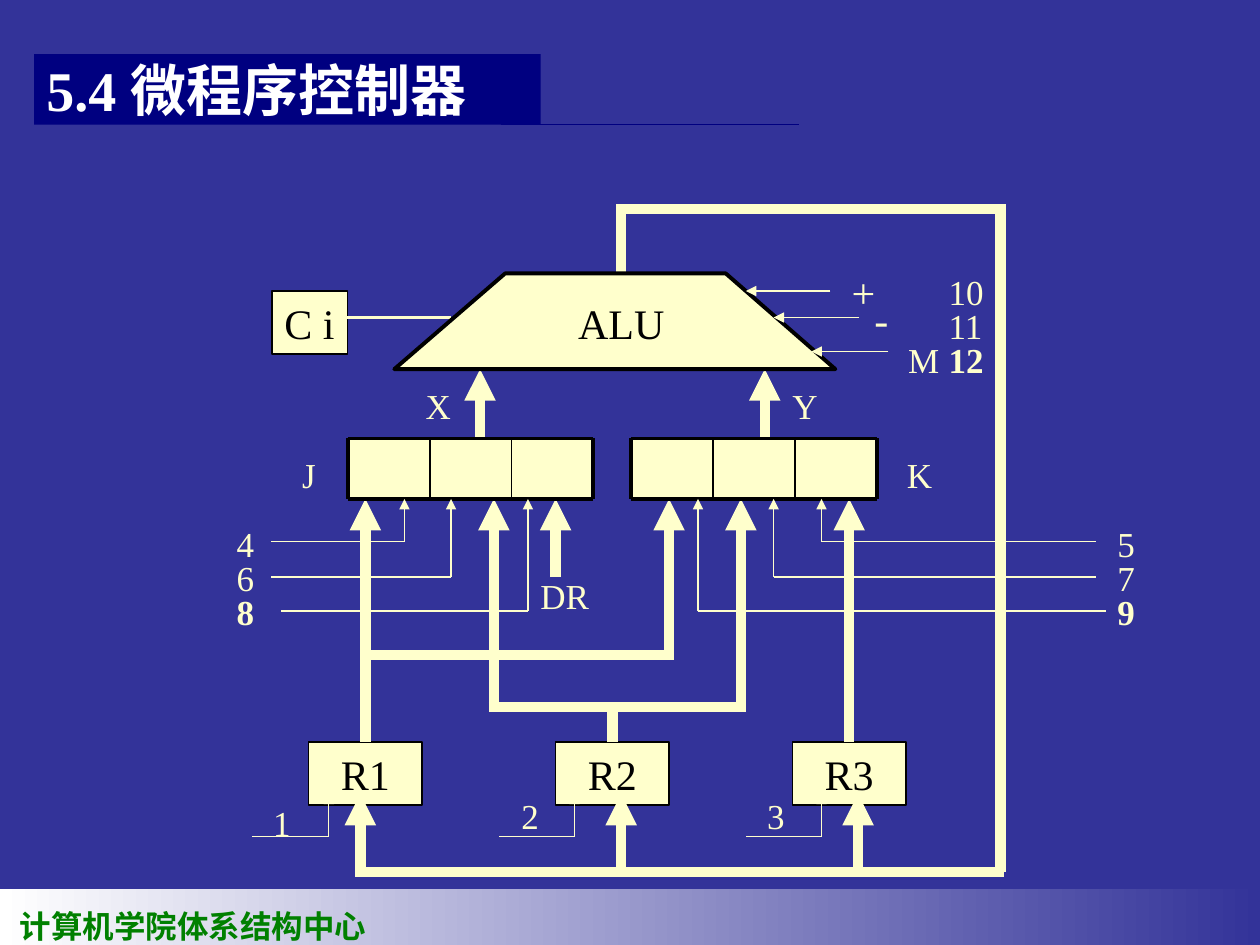
from lxml import etree
from pptx import Presentation
from pptx.dml.color import RGBColor
from pptx.enum.shapes import MSO_CONNECTOR, MSO_SHAPE
from pptx.enum.text import MSO_ANCHOR, PP_ALIGN
from pptx.oxml.ns import qn
from pptx.util import Inches, Pt

RECTANGLE = MSO_SHAPE.RECTANGLE
STRAIGHT = MSO_CONNECTOR.STRAIGHT
TOP, MIDDLE = MSO_ANCHOR.TOP, MSO_ANCHOR.MIDDLE
LEFT, CENTER = PP_ALIGN.LEFT, PP_ALIGN.CENTER
TOP_SITE = 0
FONT = "Times New Roman"
BLUE, NAVY, CREAM = "333399", "000080", "FFFFCC"
BLACK, WHITE, GREEN = "000000", "FFFFFF", "008000"
BUS, BORDER, THIN = 6, 2.25, 0.75


def rgb(value):
    return RGBColor.from_string(value)


def write_text(frame, text, size=20, color=CREAM, bold=False, align=LEFT,
               anchor=TOP, wrap=False):
    frame.word_wrap = wrap
    frame.vertical_anchor = anchor
    paragraph = frame.paragraphs[0]
    paragraph.alignment = align
    run = paragraph.add_run()
    run.text = text
    run.font.name = FONT
    run.font.size = Pt(size)
    run.font.bold = bold
    run.font.color.rgb = rgb(color)


class Diagram:
    """Draws the elements of a datapath diagram on one slide."""

    def __init__(self, slide):
        self.slide = slide
        self.shapes = slide.shapes
        slide.background.fill.solid()
        slide.background.fill.fore_color.rgb = rgb(BLUE)

    def paint(self, shape, fill, border, width):
        shape.shadow.inherit = False
        shape.fill.solid()
        shape.fill.fore_color.rgb = rgb(fill)
        if border:
            shape.line.color.rgb = rgb(border)
            shape.line.width = Pt(width)
        else:
            shape.line.fill.background()

    def block(self, left, top, width, height, fill=CREAM, border=None,
              text=None, **style):
        shape = self.shapes.add_shape(RECTANGLE, Inches(left), Inches(top),
                                      Inches(width), Inches(height))
        self.paint(shape, fill, border, THIN)
        if text:
            write_text(shape.text_frame, text, **style)
        return shape

    def gradient_band(self, left, top, width, height, colors):
        band = self.block(left, top, width, height)
        band.fill.gradient()
        band.fill.gradient_angle = 0
        for stop, color in zip(band.fill.gradient_stops, colors):
            stop.color.rgb = rgb(color)

    def polygon(self, points, fill, border, width):
        corners = [(Inches(x), Inches(y)) for x, y in points]
        builder = self.shapes.build_freeform(*corners[0])
        builder.add_line_segments(corners[1:], close=True)
        self.paint(builder.convert_to_shape(), fill, border, width)

    def label(self, text, left, top, width=0.4, height=0.44, **style):
        box = self.shapes.add_textbox(Inches(left), Inches(top),
                                      Inches(width), Inches(height))
        write_text(box.text_frame, text, **style)

    def line(self, start, end, width=THIN, color=CREAM, arrow=False,
             source=None):
        connector = self.shapes.add_connector(
            STRAIGHT, *(Inches(value) for value in (*start, *end)))
        connector.line.color.rgb = rgb(color)
        connector.line.width = Pt(width)
        if arrow:
            etree.SubElement(connector.line._get_or_add_ln(),
                             qn("a:tailEnd"), type="triangle")
        etree.SubElement(connector._element.spPr, qn("a:effectLst"))
        if source is not None:
            connector.begin_connect(source, TOP_SITE)


def draw_registers(diagram):
    registers = [
        diagram.block(left, 5.89, 0.9, 0.5, border=BLACK, text=name, size=24,
                      color=BLACK, align=CENTER, wrap=True)
        for name, left in (("R1", 2.45), ("R2", 4.41), ("R3", 6.29))]
    for register, x, top in zip(registers, (2.9, 4.86, 6.74),
                                (3.96, 5.61, 3.96)):
        diagram.line((x, 5.89), (x, top), BUS, arrow=top < 5,
                     source=register)


def draw_buses(diagram):
    for x, bottom, top in ((3.81, 3.48, 2.93), (6.07, 3.48, 2.93),
                           (4.41, 4.58, 3.96), (5.31, 5.2, 3.96),
                           (3.92, 5.61, 3.96), (5.88, 5.61, 3.96),
                           (2.86, 6.92, 6.3), (4.93, 6.92, 6.3),
                           (6.81, 6.92, 6.3)):
        diagram.line((x, bottom), (x, top), BUS, arrow=True)
    for start, end in (((2.87, 5.2), (5.35, 5.2)),
                       ((3.88, 5.61), (5.92, 5.61)),
                       ((2.82, 6.92), (7.97, 6.92)),
                       ((7.94, 6.92), (7.94, 1.62)),
                       ((4.93, 1.62), (4.93, 2.17)),
                       ((4.93, 1.66), (7.94, 1.66))):
        diagram.line(start, end, BUS)


def draw_alu(diagram):
    diagram.block(2.16, 2.31, 0.6, 0.5, border=BLACK, text="C i", size=24,
                  color=BLACK)
    diagram.line((2.68, 2.52), (3.58, 2.52), BORDER)
    diagram.polygon([(6.63, 2.93), (5.76, 2.17), (4.01, 2.17), (3.13, 2.93)],
                    CREAM, BLACK, BORDER)
    diagram.label("ALU", 4.49, 2.31, 1, 0.5, size=24, color=BLACK)
    for start, end, y in ((6.59, 5.92, 2.31), (6.82, 6.14, 2.52),
                          (7.05, 6.44, 2.79)):
        diagram.line((start, y), (end, y), arrow=True)
    diagram.label("+", 6.66, 2.07, 0.39, 0.5, size=24)
    diagram.label("-", 6.84, 2.28, 0.31, 0.5, size=24)


def draw_selector(diagram, left, top=3.48, cell=0.65, height=0.48, count=3):
    right, bottom = left + count * cell, top + height
    for index in range(count):
        diagram.block(left + index * cell, top, cell, height)
    for y in (top, bottom):
        diagram.line((left, y), (right, y), BORDER, BLACK)
    for index in range(count + 1):
        x = left + index * cell
        diagram.line((x, top), (x, bottom),
                     BORDER if index in (0, count) else 1, BLACK)


def draw_control_signals(diagram):
    for x, y, outer, tip in ((2.61, 6.64, 2, 6.3), (4.56, 6.64, 3.96, 6.3),
                             (6.52, 6.64, 5.92, 6.3),
                             (3.21, 4.3, 2.15, 3.96), (3.58, 4.58, 2.15, 3.96),
                             (4.19, 4.85, 2.23, 3.96), (6.52, 4.3, 8.7, 3.96),
                             (6.14, 4.58, 8.7, 3.96), (5.54, 4.85, 8.78, 3.96)):
        diagram.line((x, y), (x, tip), arrow=True)
        diagram.line((x, y), (outer, y))


def draw_labels(diagram):
    for text, left, top in (("X", 3.28, 3), ("Y", 6.19, 3), ("J", 2.3, 3.55),
                            ("K", 7.1, 3.55), ("DR", 4.19, 4.51),
                            ("M", 7.11, 2.64), ("1", 2.07, 6.31),
                            ("2", 4.04, 6.26), ("3", 5.99, 6.26)):
        diagram.label(text, left, top, 0.6 if text == "DR" else 0.34)
    for numbers, left, first_top, width in ((("4", "6", "8"), 1.78, 4.1, 0.34),
                                            (("5", "7", "9"), 8.77, 4.1, 0.34),
                                            (("10", "11", "12"), 7.43, 2.1, 0.48)):
        for row, number in enumerate(numbers):
            diagram.label(number, left, first_top + row * 0.27, width,
                          bold=row == 2)


def main():
    presentation = Presentation()
    presentation.slide_width = Inches(10)
    presentation.slide_height = Inches(7.5)
    diagram = Diagram(presentation.slides.add_slide(
        presentation.slide_layouts[6]))
    diagram.gradient_band(0, 7.06, 10, 0.44, (WHITE, BLUE))
    diagram.label("计算机学院体系结构中心", 0.06, 7.15, 2.95, 0.4, size=18,
                  color=GREEN, bold=True)
    draw_registers(diagram)
    draw_buses(diagram)
    draw_alu(diagram)
    for left in (5.01, 2.76):
        draw_selector(diagram, left)
    draw_control_signals(diagram)
    draw_labels(diagram)
    diagram.block(0.27, 0.43, 4.02, 0.56, fill=NAVY, text="5.4 微程序控制器",
                  size=32, color=WHITE, bold=True, anchor=MIDDLE, wrap=True)
    diagram.line((3.98, 0.99), (6.34, 0.99), color=NAVY)
    presentation.save("out.pptx")


if __name__ == "__main__":
    main()
